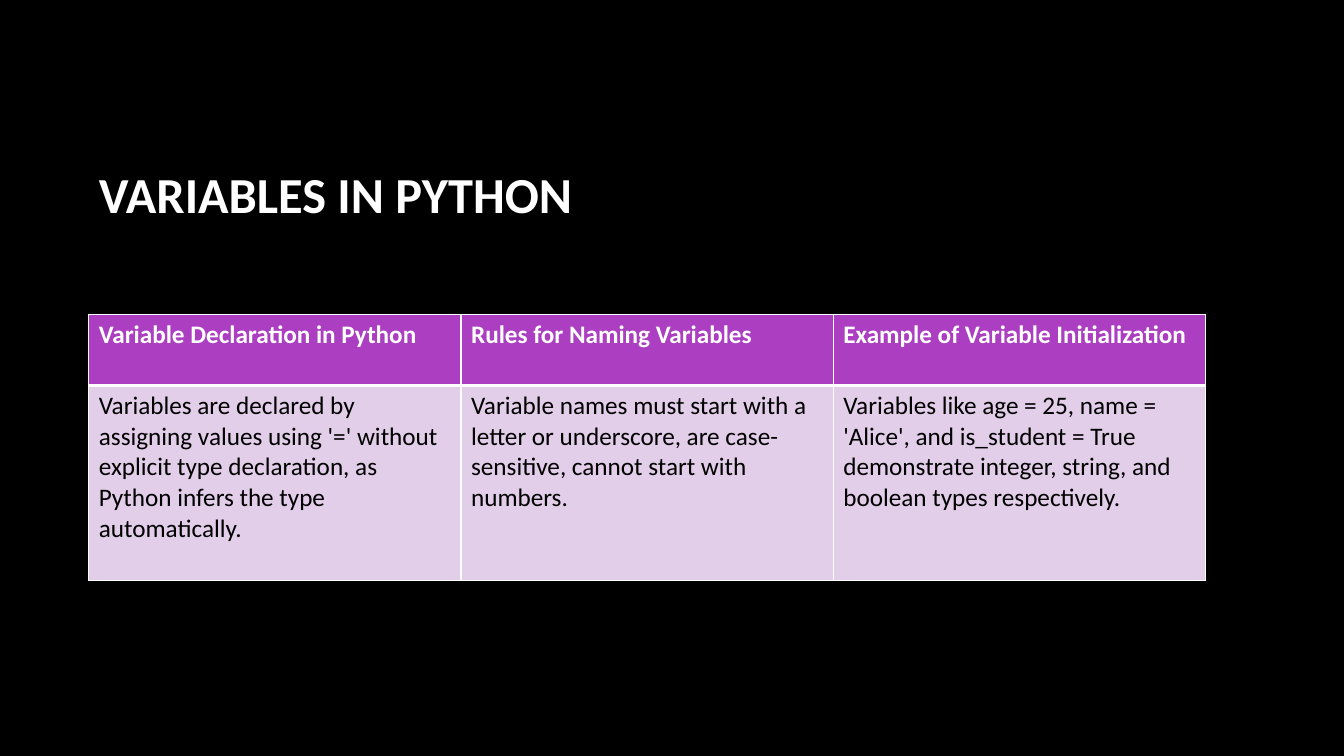
from lxml import etree
from pptx import Presentation
from pptx import util as u
from pptx.dml.color import RGBColor
from pptx.enum import text
from pptx.oxml.ns import qn

TITLE = "VARIABLES IN PYTHON"
TOPICS = [
    ("Variable Declaration in Python",
     "Variables are declared by assigning values using '=' without explicit "
     "type declaration, as Python infers the type automatically."),
    ("Rules for Naming Variables",
     "Variable names must start with a letter or underscore, are "
     "case-sensitive, cannot start with numbers."),
    ("Example of Variable Initialization",
     "Variables like age = 25, name = 'Alice', and is_student = True "
     "demonstrate integer, string, and boolean types respectively."),
]
THEME = {
    "font": "Calibri", "title_size": 36, "cell_size": 18,
    "background": "000000", "light": "FFFFFF", "dark": "000000",
    "header": "AC3EC1", "body": "E3CEE9",
}
ROWS = [
    {"height": 50.7, "fill": "header", "color": "light", "bold": True,
     "borders": {"lnL": 1, "lnR": 1, "lnT": 1, "lnB": 3}},
    {"height": 139.3, "fill": "body", "color": "dark", "bold": False,
     "borders": {"lnL": 1, "lnR": 1, "lnT": 3, "lnB": 1}},
]
LEFT, WIDTH = 63.4, 797.7
TITLE_TOP, TITLE_HEIGHT, TABLE_TOP = 103, 114.5, 224.6


def rgb(name):
    return RGBColor.from_string(THEME[name])


def assign(obj, values):
    for name, value in values.items():
        setattr(obj, name, value)


def write(tf, content, size, color, bold):
    p = tf.paragraphs[0]
    p.alignment = text.PP_ALIGN.LEFT
    r = p.add_run()
    r.text = content
    assign(r.font, {"name": THEME["font"], "size": u.Pt(THEME[size]), "bold": bold})
    r.font.color.rgb = rgb(color)
    return p


def add_border(cell, side, width):
    tc_pr = cell._tc.get_or_add_tcPr()
    ln = etree.SubElement(tc_pr, qn("a:" + side), w=str(u.Pt(width)))
    fill = etree.SubElement(ln, qn("a:solidFill"))
    etree.SubElement(fill, qn("a:srgbClr"), val=THEME["light"])


def add_title(s):
    sp = s.shapes.title
    assign(sp, {"left": u.Pt(LEFT), "top": u.Pt(TITLE_TOP),
                "width": u.Pt(WIDTH), "height": u.Pt(TITLE_HEIGHT)})
    tf = sp.text_frame
    assign(tf, {"word_wrap": True, "auto_size": text.MSO_AUTO_SIZE.NONE,
                "vertical_anchor": text.MSO_ANCHOR.MIDDLE,
                "margin_bottom": u.Pt(43)})
    write(tf, TITLE, "title_size", "light", True).line_spacing = 0.9


def add_topics(s):
    height = sum(row["height"] for row in ROWS)
    table = s.shapes.add_table(len(ROWS), len(TOPICS), u.Pt(LEFT), u.Pt(TABLE_TOP),
                               u.Pt(WIDTH), u.Pt(height)).table
    for column in table.columns:
        column.width = u.Pt(WIDTH / len(TOPICS))
    for i, row in enumerate(ROWS):
        table.rows[i].height = u.Pt(row["height"])
        for j, topic in enumerate(TOPICS):
            cell = table.cell(i, j)
            write(cell.text_frame, topic[i], "cell_size", row["color"], row["bold"])
            for side, width in row["borders"].items():
                add_border(cell, side, width)
            cell.fill.solid()
            cell.fill.fore_color.rgb = rgb(row["fill"])


def main():
    prs = Presentation()
    assign(prs, {"slide_width": u.Pt(960), "slide_height": u.Pt(540)})
    s = prs.slides.add_slide(prs.slide_layouts[5])
    s.background.fill.solid()
    s.background.fill.fore_color.rgb = rgb("background")
    add_title(s)
    add_topics(s)
    prs.save("out.pptx")


if __name__ == "__main__":
    main()
